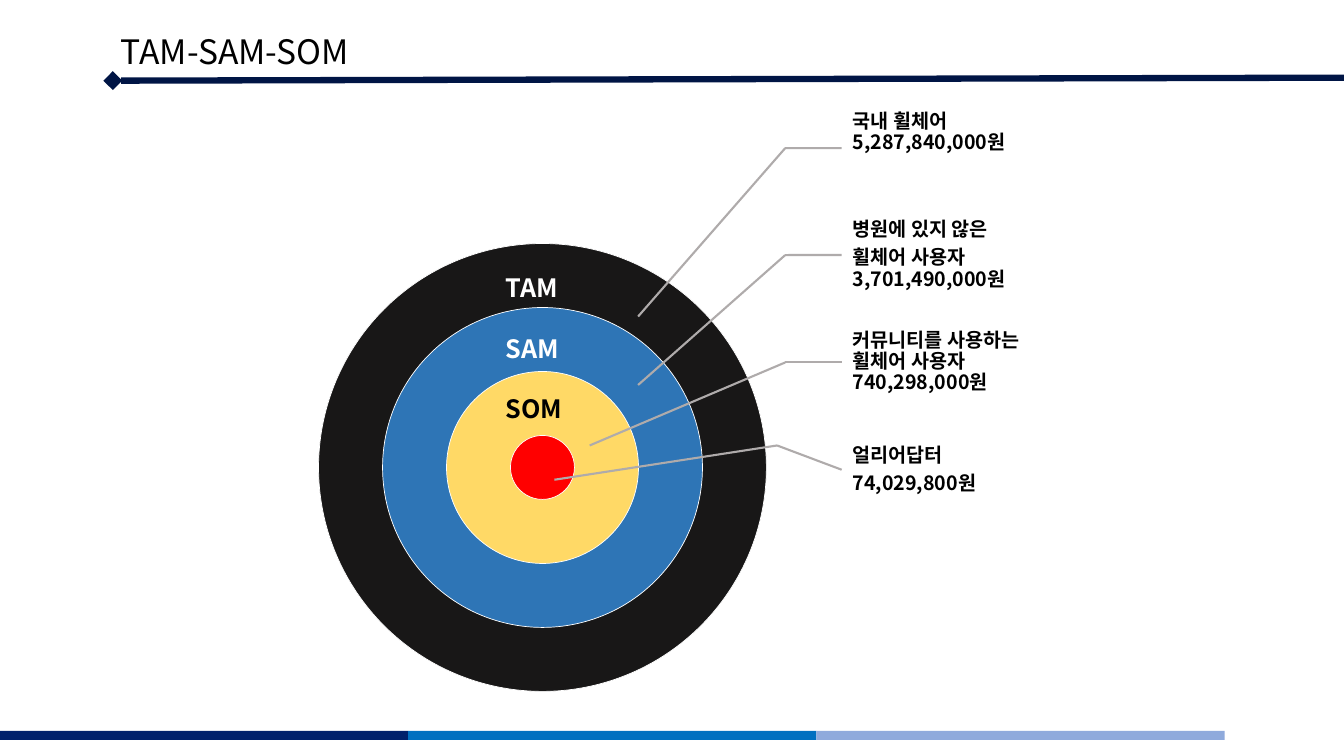
import pptx
import pptx.util
import pptx.dml.color
import pptx.enum.shapes
import pptx.enum.text
import pptx.oxml.ns
import pptx.oxml.xmlchemy

Pt = pptx.util.Pt

# Content
TITLE = "TAM-SAM-SOM"
RING_LABELS = [("TAM", "FFFFFF"), ("SAM", "FFFFFF"), ("SOM", "000000")]
# Each callout: paragraphs of lines, box top, box height, bottom inset, elbow, target
CALLOUTS = [
    ([["국내 휠체어", "5,287,840,000원"]],
     67.7, 76.3, 23, (560.9, 105.8), (455.8, 226.1)),
    ([["병원에 있지 않은"], ["휠체어 사용자", "3,701,490,000원"]],
     144, 76.3, 1.4, (560.9, 182.2), (455.8, 275)),
    ([["커뮤니티를 사용하는", "휠체어 사용자", "740,298,000원"]],
     225.4, 67, 1.4, (560.9, 258.9), (421.2, 318.2)),
    ([["얼리어답터"], ["74,029,800원"]],
     297.4, 76.3, 1.4, (555.1, 318.2), (396, 342.7)),
]

THEME = {
    "font": "Noto Sans CJK KR",
    "title_size": 24, "label_size": 18, "callout_size": 14,
    "text": "000000", "header": "001545", "leader": "AFABAB", "ring_line": "FFFFFF",
    "rings": ["181717", "2E75B6", "FFD966", "FF0000"],
    "footer": ["00216C", "0070C0", "8FAADC"],
}

# Geometry
CENTER_X, CENTER_Y, CORE = 387.5, 333.9, 45.7
CALLOUT_X, CALLOUT_W = 601.2, 160
FOOTER_Y, FOOTER_W, FOOTER_H = 522, 291.6, 6.5
LABEL_GAP = 21.8

prs = pptx.Presentation()
prs.slide_width, prs.slide_height = Pt(960), Pt(540)
s = prs.slides.add_slide(prs.slide_layouts[6])


def rgb(value):
    return pptx.dml.color.RGBColor.from_string(value)


def make_element(tag, **attributes):
    element = pptx.oxml.xmlchemy.OxmlElement(tag)
    for name, value in attributes.items():
        element.set(name, value)
    return element


def add_filled(kind, x, y, w, h, fill, line=None):
    sp = s.shapes.add_shape(kind, Pt(x), Pt(y), Pt(w), Pt(h))
    sp.shadow.inherit = False
    sp.fill.solid()
    sp.fill.fore_color.rgb = rgb(fill)
    if line:
        sp.line.color.rgb = rgb(line)
        sp.line.width = Pt(0.5)
    else:
        sp.line.fill.background()
    return sp


def add_line(start, end, color, width):
    c = s.shapes.add_connector(pptx.enum.shapes.MSO_CONNECTOR.STRAIGHT,
                               *(Pt(v) for v in start + end))
    c.line.color.rgb = rgb(color)
    c.line.width = Pt(width)
    c._element.spPr.append(make_element("a:effectLst"))
    return c


def add_box(x, y, w, h, wrap=True):
    sp = s.shapes.add_textbox(Pt(x), Pt(y), Pt(w), Pt(h))
    sp.text_frame.word_wrap = wrap
    return sp


def add_run(p, text, size, color=THEME["text"], bold=True):
    r = p.add_run()
    r.text = text
    r.font.size = Pt(size)
    r.font.bold = bold
    r.font.color.rgb = rgb(color)
    r.font.name = THEME["font"]
    latin = r.font._element.find(pptx.oxml.ns.qn("a:latin"))
    latin.addnext(make_element("a:ea", typeface=THEME["font"]))


def add_break(p, size):
    p.add_line_break()
    p._p[-1].append(make_element("a:rPr", sz=str(size * 100)))


def next_paragraph(tf, i):
    return tf.add_paragraph() if i else tf.paragraphs[0]


# Footer bars
for i, color in enumerate(THEME["footer"]):
    add_filled(pptx.enum.shapes.MSO_SHAPE.RECTANGLE,
               i * FOOTER_W, FOOTER_Y, FOOTER_W, FOOTER_H, color)

# Header rule with a diamond at its left end
rule = add_line((80.6, 57.6), (960, 55.5), THEME["header"], 4.5)
rule_ln = rule._element.spPr.find(pptx.oxml.ns.qn("a:ln"))
rule_ln.append(make_element("a:headEnd", type="diamond"))

# Title
title = add_box(79.2, 18.7, 222.5, 36, wrap=False)
add_run(title.text_frame.paragraphs[0], TITLE, THEME["title_size"], bold=False)

# Concentric rings: diameters 7, 5, 3 and 1 times the core
for i, color in enumerate(THEME["rings"]):
    d = CORE * (7 - 2 * i)
    add_filled(pptx.enum.shapes.MSO_SHAPE.OVAL, CENTER_X - d / 2, CENTER_Y - d / 2,
               d, d, color, THEME["ring_line"])

# Callouts and their leader lines
for paragraphs, top, height, bottom, elbow, target in CALLOUTS:
    box = add_box(CALLOUT_X, top, CALLOUT_W, height)
    tf = box.text_frame
    tf.vertical_anchor = pptx.enum.text.MSO_ANCHOR.MIDDLE
    tf.margin_left, tf.margin_right = Pt(7.9), Pt(1.4)
    tf.margin_top, tf.margin_bottom = Pt(1.4), Pt(bottom)
    for i, lines in enumerate(paragraphs):
        p = next_paragraph(tf, i)
        p.line_spacing = 0.9
        p.space_after = Pt(5)
        for j, text in enumerate(lines):
            if j:
                add_break(p, THEME["callout_size"])
            add_run(p, text, THEME["callout_size"])
    stub = add_line(elbow, (CALLOUT_X, top + height / 2), THEME["leader"], 1.5)
    stub.end_connect(box, 1)
    add_line(elbow, target, THEME["leader"], 1.5)

# Ring labels
tf = add_box(354.2, 190.8, 59, 116.6).text_frame
for i, (text, color) in enumerate(RING_LABELS):
    p = next_paragraph(tf, i)
    if i:
        p.space_before = Pt(LABEL_GAP)
    add_run(p, text, THEME["label_size"], color)

prs.save("out.pptx")
